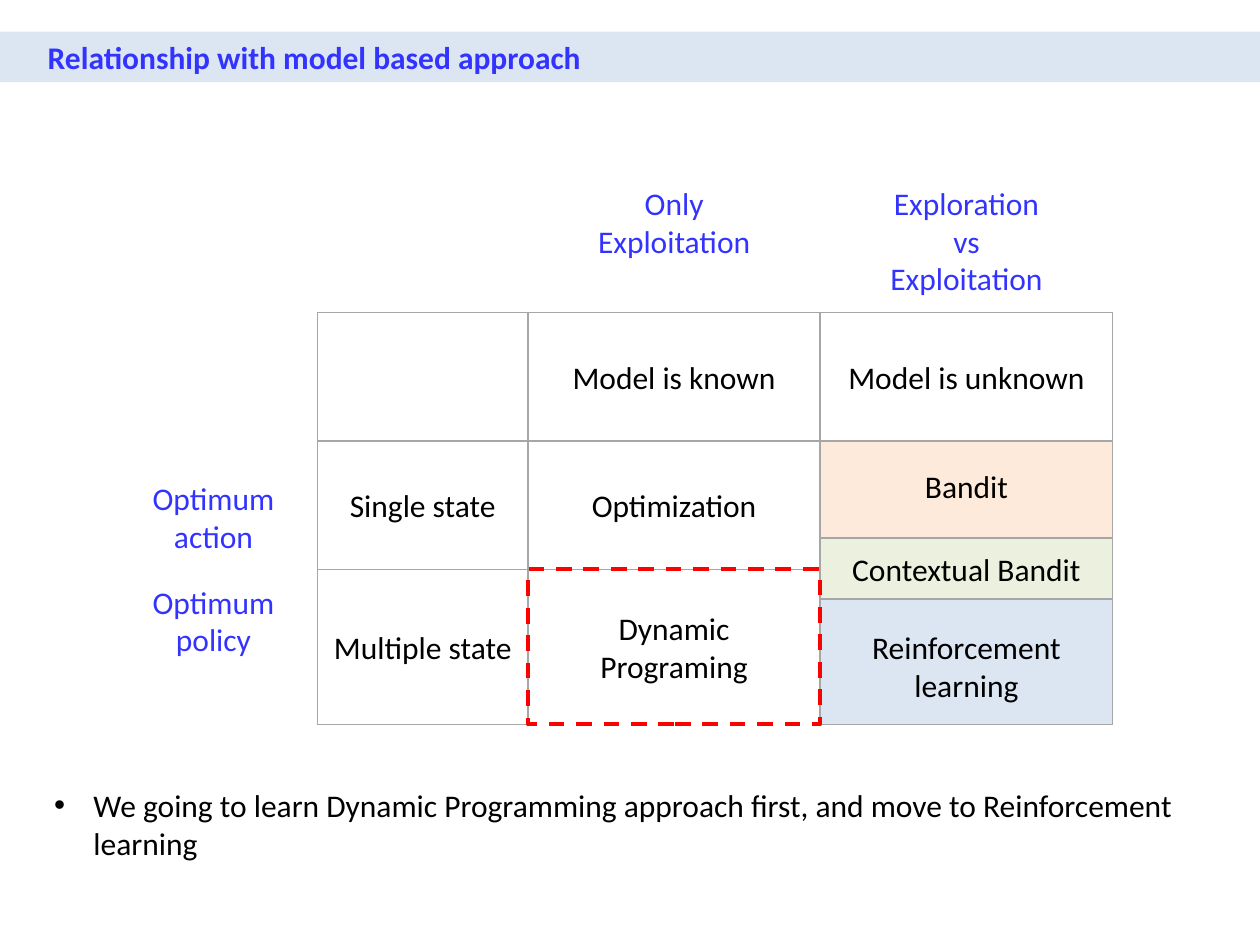
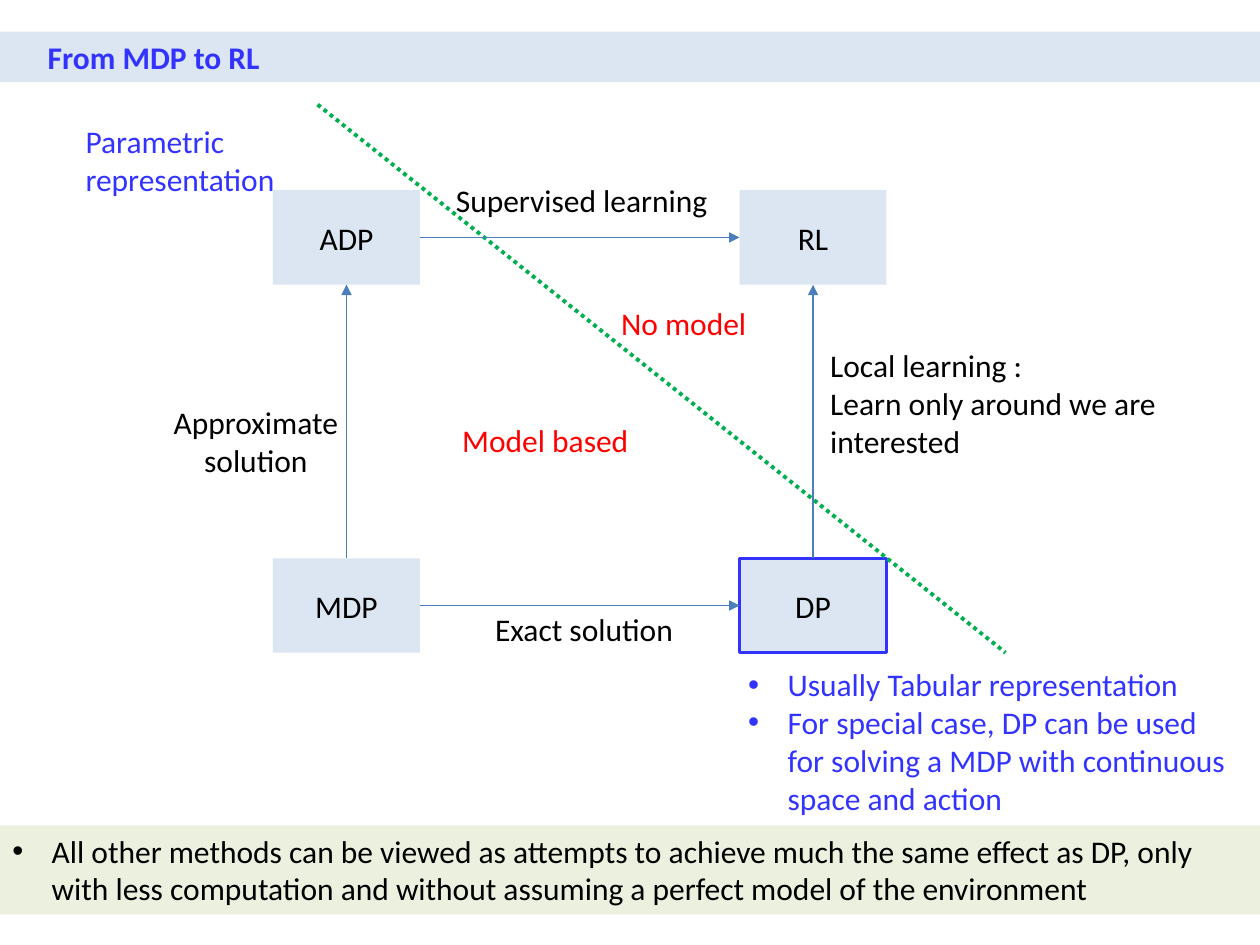
from lxml.etree import SubElement
from pptx import Presentation
from pptx.dml.color import RGBColor
from pptx.enum.dml import MSO_LINE
from pptx.enum.shapes import MSO_CONNECTOR, MSO_SHAPE
from pptx.enum.text import MSO_ANCHOR, PP_ALIGN
from pptx.oxml.ns import qn
from pptx.util import Pt

COLORS = {
    "blue": "3333FF",
    "band": "DCE6F2",
    "green": "EBF1DE",
    "orange": "FDEADA",
    "grid": "A6A6A6",
    "arrow": "4B7EBC",
    "divider": "00B050",
    "red": "FF0000",
    "black": "000000",
}
FONT = "Calibri"
FONT_SIZE = 18
BULLET_INDENT = 22.5
LINE_HEIGHT = 22
SLIDE_WIDTH, SLIDE_HEIGHT = 720, 540
TOP, LEFT, BOTTOM, RIGHT = range(4)


def rgb(name):
    return RGBColor.from_string(COLORS[name])


def add_bullet(para):
    properties = para._p.get_or_add_pPr()
    properties.set("marL", str(Pt(BULLET_INDENT)))
    properties.set("indent", str(-Pt(BULLET_INDENT)))
    SubElement(properties, qn("a:buFont"), typeface="Arial")
    SubElement(properties, qn("a:buChar"), char="•")


def write(box, lines, color="black", align=PP_ALIGN.LEFT, anchor=MSO_ANCHOR.TOP,
          bold=False, bullets=False):
    frame = box.text_frame
    frame.word_wrap = True
    frame.vertical_anchor = anchor
    frame.text = "\n".join(lines)
    for para in frame.paragraphs:
        para.alignment = align
        para.font.name = FONT
        para.font.size = Pt(FONT_SIZE)
        para.font.bold = bold
        para.font.color.rgb = rgb(color)
        if bullets:
            add_bullet(para)


def add_label(page, place, *lines, **style):
    box = page.shapes.add_textbox(*map(Pt, place))
    write(box, lines, **style)


def add_box(page, place, *lines, fill=None, line=None, width=1, **style):
    box = page.shapes.add_shape(MSO_SHAPE.RECTANGLE, *map(Pt, place))
    box.shadow.inherit = False
    if fill:
        box.fill.solid()
        box.fill.fore_color.rgb = rgb(fill)
    else:
        box.fill.background()
    if line:
        box.line.color.rgb = rgb(line)
        box.line.width = Pt(width)
    else:
        box.line.fill.background()
    if lines:
        write(box, lines, **style)
    return box


def add_centered_box(page, place, *lines, **style):
    return add_box(page, place, *lines, align=PP_ALIGN.CENTER,
                   anchor=MSO_ANCHOR.MIDDLE, **style)


def add_line(page, start, end, color, width):
    line = page.shapes.add_connector(MSO_CONNECTOR.STRAIGHT, *map(Pt, start + end))
    line.line.color.rgb = rgb(color)
    line.line.width = Pt(width)
    SubElement(line._element.spPr, qn("a:effectLst"))
    return line


def add_arrow(page, source, source_side, target, target_side):
    arrow = add_line(page, (0, 0), (0, 0), "arrow", 0.75)
    arrow.begin_connect(source, source_side)
    arrow.end_connect(target, target_side)
    SubElement(arrow.line._get_or_add_ln(), qn("a:tailEnd"), type="triangle")


def add_page(deck, title):
    page = deck.slides.add_slide(deck.slide_layouts[6])
    band = add_box(page, (0, 18, SLIDE_WIDTH, 29), title, fill="band",
                   color="blue", bold=True)
    band.text_frame.margin_left = Pt(27.3)
    return page


def build_model_grid(deck):
    page = add_page(deck, "Relationship with model based approach")
    columns = [181.5, 301.7, 468.7, 635.8]
    rows = [178.6, 252, 325.4, 414]

    def cell(row, column):
        return (columns[column], rows[row],
                columns[column + 1] - columns[column], rows[row + 1] - rows[row])

    grid = [
        [(), ("Model is known",), ("Model is unknown",)],
        [("Single state",), ("Optimization",), ("Bandit",)],
        [("Multiple state",), None, ("Reinforcement learning",)],
    ]
    fills = {(1, 2): "orange", (2, 2): "band"}
    cells = {}
    for row, entries in enumerate(grid):
        for column, lines in enumerate(entries):
            if lines is not None:
                cells[row, column] = add_centered_box(
                    page, cell(row, column), *lines,
                    fill=fills.get((row, column)), line="grid")
    cells[1, 2].text_frame.margin_bottom = Pt(3.6 + LINE_HEIGHT)
    cells[2, 2].text_frame.margin_top = Pt(3.6 + LINE_HEIGHT)

    left, _, width, _ = cell(1, 2)
    add_centered_box(page, (left, 307.5, width, 34.6), "Contextual Bandit",
                     fill="green", line="grid")
    programming = add_centered_box(page, cell(2, 1), "Dynamic", "Programing",
                                   line="red", width=2.25)
    programming.line.dash_style = MSO_LINE.DASH

    heading = {"color": "blue", "align": PP_ALIGN.CENTER}
    add_label(page, (columns[1], 101.5, width, 51), "Only", "Exploitation", **heading)
    add_label(page, (columns[2], 101.5, width, 73), "Exploration", "vs",
              "Exploitation", **heading)
    for top, goal in ((266.4, "action"), (325.4, "policy")):
        add_label(page, (62, top, 120, 58.3), "Optimum", goal,
                  anchor=MSO_ANCHOR.MIDDLE, **heading)
    add_label(page, (23.8, 445.7, 690.5, 51),
              "We going to learn Dynamic Programming approach first, "
              "and move to Reinforcement learning", bullets=True)


def build_method_map(deck):
    page = add_page(deck, "From MDP to RL")
    left, right, upper, lower = 156, 422.6, 108.7, 319

    def add_method(x, y, name, **outline):
        return add_centered_box(page, (x, y, 84, 54), name, fill="band", **outline)

    mdp = add_method(left, lower, "MDP")
    dp = add_method(right, lower, "DP", line="blue", width=2)
    adp = add_method(left, upper, "ADP")
    rl = add_method(right, upper, "RL")

    divider = add_line(page, (181.5, 59.8), (574.6, 373), "divider", 2.25)
    divider.line.dash_style = MSO_LINE.ROUND_DOT
    add_arrow(page, mdp, RIGHT, dp, LEFT)
    add_arrow(page, mdp, TOP, adp, BOTTOM)
    add_arrow(page, dp, TOP, rl, BOTTOM)
    add_arrow(page, adp, RIGHT, rl, LEFT)

    add_label(page, (275.8, 344.9, 122.4, 29), "Exact solution")
    add_label(page, (85, 226.8, 122.4, 51), "Approximate solution",
              align=PP_ALIGN.CENTER)
    add_label(page, (467.3, 194.4, 229, 73), "Local learning :",
              "Learn only around we are interested")
    add_label(page, (253.4, 100.1, 167, 29), "Supervised learning")
    add_label(page, (257, 236.9, 138.2, 29), "Model based", color="red")
    add_label(page, (347.8, 169.9, 95.8, 29), "No model", color="red")
    add_label(page, (41.8, 66.2, 139.7, 51), "Parametric representation", color="blue")
    add_label(page, (420.5, 376.6, 288, 94.3), "Usually Tabular representation",
              "For special case, DP can be used for solving a MDP "
              "with continuous space and action", color="blue", bullets=True)
    add_box(page, (0, 471.6, SLIDE_WIDTH, 51),
            "All other methods can be viewed as attempts to achieve much the same "
            "effect as DP, only with less computation and without assuming a perfect "
            "model of the environment", fill="green", bullets=True)


def main():
    deck = Presentation()
    deck.slide_width = Pt(SLIDE_WIDTH)
    deck.slide_height = Pt(SLIDE_HEIGHT)
    build_model_grid(deck)
    build_method_map(deck)
    deck.save("out.pptx")


if __name__ == "__main__":
    main()
